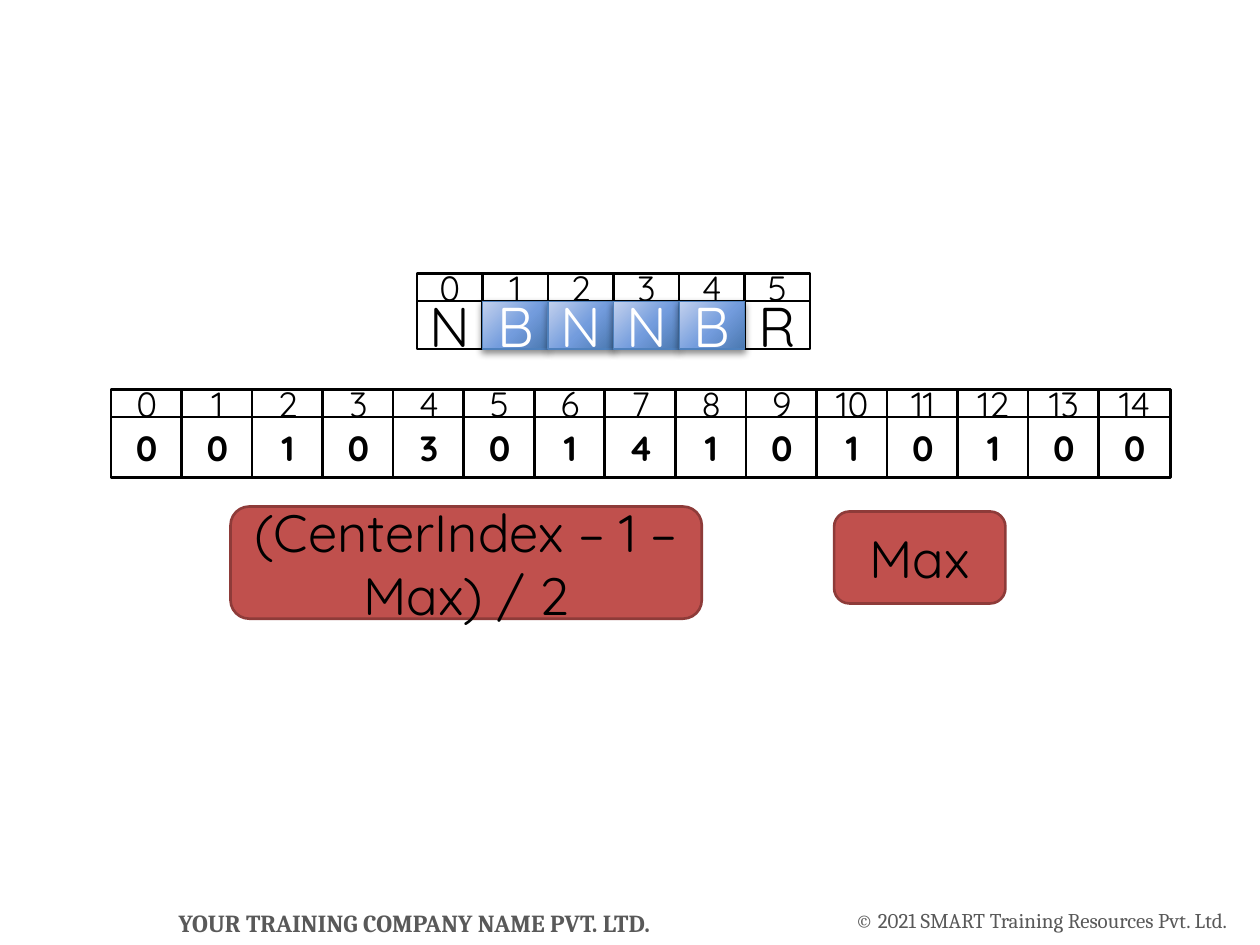
from dataclasses import dataclass

from lxml import etree
from pptx import Presentation
from pptx.dml.color import RGBColor
from pptx.enum.shapes import MSO_SHAPE
from pptx.enum.text import MSO_ANCHOR, PP_ALIGN
from pptx.oxml import parse_xml
from pptx.oxml.ns import nsdecls, qn
from pptx.shapes.autoshape import Shape
from pptx.slide import Slide
from pptx.text.text import TextFrame
from pptx.util import Inches, Pt

RECTANGLE = MSO_SHAPE.RECTANGLE
ROUNDED_BOX = MSO_SHAPE.FLOWCHART_ALTERNATE_PROCESS
MIDDLE = MSO_ANCHOR.MIDDLE
CENTER = PP_ALIGN.CENTER

BLACK = RGBColor(0x00, 0x00, 0x00)
WHITE = RGBColor(0xFF, 0xFF, 0xFF)
GRAY = RGBColor(0x59, 0x59, 0x59)
RED = RGBColor(0xC0, 0x50, 0x4D)
DARK_RED = RGBColor(0x8E, 0x3B, 0x39)
BLUE = RGBColor(0x4F, 0x81, 0xBD)
LIGHT_BLUE = RGBColor(0xC4, 0xD2, 0xEE)
MEDIUM_BLUE = RGBColor(0x73, 0x9C, 0xDD)
DEEP_BLUE = RGBColor(0x4A, 0x78, 0xB0)
GLOSS_STOPS = ((0, LIGHT_BLUE), (55, MEDIUM_BLUE), (100, DEEP_BLUE))

BODY_FONT = "Quicksand"
FOOTER_FONT = "Cambria"
INDEX_HEIGHT = 0.22
INDEX_SIZE = 20


@dataclass(frozen=True)
class Box:
    left: float
    top: float
    width: float
    height: float


@dataclass(frozen=True)
class TextStyle:
    size: int
    color: RGBColor = BLACK
    bold: bool = False
    font: str = BODY_FONT


@dataclass(frozen=True)
class IndexedArray:
    values: tuple[str, ...]
    left: float
    top: float
    pitch: float
    cell_width: float
    value_height: float
    value_style: TextStyle

    def value_box(self, index: int) -> Box:
        return Box(self.left + index * self.pitch, self.top + INDEX_HEIGHT,
                   self.cell_width, self.value_height)

    def index_box(self, index: int) -> Box:
        return Box(self.left + index * self.pitch, self.top, self.cell_width, INDEX_HEIGHT)


@dataclass(frozen=True)
class Footer:
    text: str
    box: Box
    style: TextStyle
    wrap: bool


LETTERS = IndexedArray(tuple("NBNNBR"), 3.31, 2.17, 0.52, 0.52, 0.38, TextStyle(32))
RADII = IndexedArray(tuple("001030141010100"), 0.88, 3.09, 0.56, 0.57, 0.48,
                     TextStyle(20, bold=True))
PALINDROME = range(1, 5)
FORMULAS = (
    ("(CenterIndex – 1 – Max) / 2", Box(1.83, 4.02, 3.74, 0.89)),
    ("Max", Box(6.62, 4.06, 1.36, 0.73)),
)
FOOTERS = (
    Footer("YOUR TRAINING COMPANY NAME PVT. LTD.", Box(0.83, 7.2, 4.92, 0.24),
           TextStyle(14, GRAY, True, FOOTER_FONT), True),
    Footer("© 2021 SMART Training Resources Pvt. Ltd.", Box(6.67, 7.2, 3.19, 0.2),
           TextStyle(12, GRAY, False, FOOTER_FONT), False),
)


def lengths(box: Box) -> tuple[Inches, ...]:
    return tuple(Inches(value) for value in (box.left, box.top, box.width, box.height))


def write_text(frame: TextFrame, text: str, style: TextStyle) -> None:
    frame.vertical_anchor = MIDDLE
    paragraph = frame.paragraphs[0]
    paragraph.text = text
    paragraph.alignment = CENTER
    paragraph.font.name = style.font
    paragraph.font.size = Pt(style.size)
    paragraph.font.bold = style.bold
    paragraph.font.color.rgb = style.color


def add_box(slide: Slide, box: Box, text: str, style: TextStyle, geometry: MSO_SHAPE = RECTANGLE,
            fill: RGBColor = WHITE, line: RGBColor = BLACK, line_width: float = 1.5) -> Shape:
    shape = slide.shapes.add_shape(geometry, *lengths(box))
    shape.shadow.inherit = False
    shape.fill.solid()
    shape.fill.fore_color.rgb = fill
    shape.line.color.rgb = line
    shape.line.width = Pt(line_width)
    write_text(shape.text_frame, text, style)
    return shape


def add_gloss(shape: Shape) -> None:
    properties = shape.element.spPr
    stops = "".join(f'<a:gs pos="{position * 1000}"><a:srgbClr val="{color}"/></a:gs>'
                    for position, color in GLOSS_STOPS)
    gradient = parse_xml(
        f'<a:gradFill {nsdecls("a")} rotWithShape="1"><a:gsLst>{stops}</a:gsLst>'
        '<a:path path="circle"><a:fillToRect l="-40000" t="-90000" r="140000" b="190000"/>'
        '</a:path></a:gradFill>')
    properties.replace(properties.find(qn("a:solidFill")), gradient)
    shadow = etree.SubElement(properties.find(qn("a:effectLst")), qn("a:outerShdw"),
                              blurRad=str(Pt(4)), dist=str(Pt(2)), dir="5400000",
                              rotWithShape="0")
    color = etree.SubElement(shadow, qn("a:srgbClr"), val=str(BLACK))
    etree.SubElement(color, qn("a:alpha"), val="45000")


def add_array(slide: Slide, array: IndexedArray) -> None:
    for index, value in enumerate(array.values):
        add_box(slide, array.value_box(index), value, array.value_style)
    for index in range(len(array.values)):
        add_box(slide, array.index_box(index), str(index), TextStyle(INDEX_SIZE))


def add_highlight(slide: Slide, array: IndexedArray, indexes: range) -> None:
    style = TextStyle(array.value_style.size, WHITE)
    for index in indexes:
        shape = add_box(slide, array.value_box(index), array.values[index], style,
                        line=BLUE, line_width=0.75)
        add_gloss(shape)


def add_footer(slide: Slide, footer: Footer) -> None:
    frame = slide.shapes.add_textbox(*lengths(footer.box)).text_frame
    frame.word_wrap = footer.wrap
    frame.margin_left = frame.margin_right = frame.margin_top = frame.margin_bottom = 0
    write_text(frame, footer.text, footer.style)


def main() -> None:
    presentation = Presentation()
    presentation.slide_width = Inches(10)
    presentation.slide_height = Inches(7.5)
    slide = presentation.slides.add_slide(presentation.slide_layouts[6])
    for footer in FOOTERS:
        add_footer(slide, footer)
    add_array(slide, LETTERS)
    for text, box in FORMULAS:
        add_box(slide, box, text, TextStyle(30), ROUNDED_BOX, RED, DARK_RED)
    add_array(slide, RADII)
    add_highlight(slide, LETTERS, PALINDROME)
    presentation.save("out.pptx")


if __name__ == "__main__":
    main()
